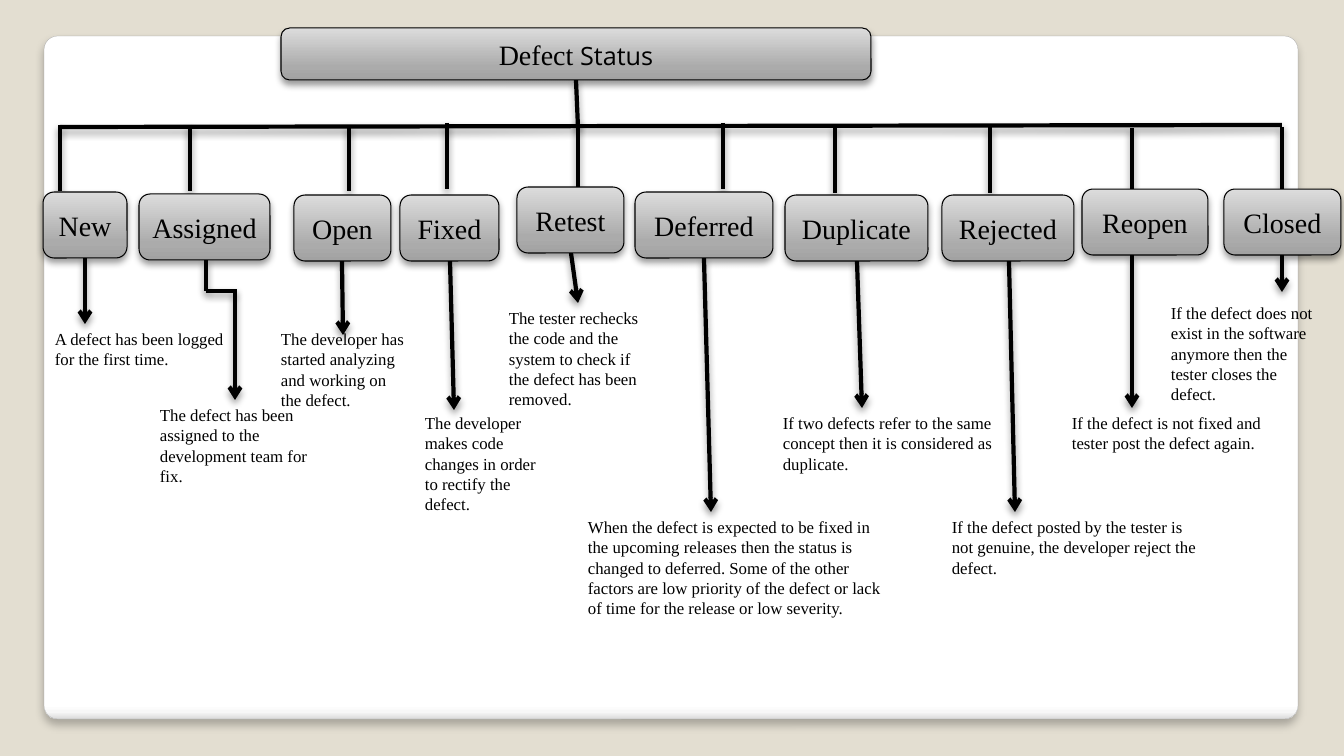
from lxml import etree
from pptx import Presentation
from pptx.dml.color import RGBColor
from pptx.enum.shapes import MSO_CONNECTOR, MSO_SHAPE
from pptx.enum.text import MSO_ANCHOR, PP_ALIGN
from pptx.oxml import parse_xml
from pptx.oxml.ns import nsdecls, qn
from pptx.util import Pt

PX = 914400 / 100.8
BLACK = "000000"
SERIF = "Times New Roman"
BOX_HEIGHT = 66
STEM_LENGTH = 66
BOX_STOPS = [(0, "A2A2A2"), (25, "ABABAB"), (100, "DCDCDC")]
CARD_STOPS = [(0, "FFFFFF"), (98, "FFFFFF"), (99, "F7F7F7"), (100, "DADADA")]

# name, box (left, top, width), stem (x, top), arrow (start x, end x, end y),
# note (left, top, width, height), note text
STATUSES = [
    ("New", (43, 192, 84), (60, 125), (85, 85, 324), (45, 324, 203, 50),
     "A defect has been logged for the first time."),
    ("Assigned", (139, 194, 131), (190, 125), (235, 235, 400), (150, 400, 183, 92),
     "The defect has been assigned to the development team for fix."),
    ("Open", (294, 195, 97), (349, 125), (342, 343, 335), (271, 324, 144, 92),
     "The developer has started analyzing and working on the defect."),
    ("Fixed", (400, 195, 99), (447, 123), (450, 454, 410), (415, 408, 139, 112),
     "The developer makes code changes in order to rectify the defect."),
    ("Retest", (517, 187, 107), (578, 121), (571, 578, 303), (499, 303, 157, 112),
     "The tester rechecks the code and the system to check if the defect has been removed."),
    ("Deferred", (635, 192, 138), (723, 123), (704, 711, 512), (578, 512, 323, 112),
     "When the defect is expected to be fixed in the upcoming releases then the status is "
     "changed to deferred. Some of the other factors are low priority of the defect or lack "
     "of time for the release or low severity."),
    ("Duplicate", (785, 195, 143), (835, 127), (857, 862, 408), (773, 408, 249, 72),
     "If two defects refer to the same concept then it is considered as duplicate."),
    ("Rejected", (942, 195, 132), (990, 127), (1009, 1015, 512), (942, 512, 265, 72),
     "If the defect posted by the tester is not genuine, the developer reject the defect."),
    ("Reopen", (1082, 189, 126), (1132, 128), (1132, 1132, 408), (1062, 408, 220, 50),
     "If the defect is not fixed and tester post the defect again."),
    ("Closed", (1224, 189, 117), (1282, 127), (1282, 1282, 292), (1161, 298, 163, 112),
     "If the defect does not exist in the software anymore then the tester closes the defect."),
]


def finish(shape, outline, width, shadow, stops=(), angle=90):
    """Set outline, downward shadow (alpha, blur, distance) and gradient fill."""
    if stops:
        shape.fill.gradient()
        shape.fill.gradient_angle = angle
        gradient_stops = shape._element.spPr.find(qn("a:gradFill")).find(qn("a:gsLst"))
        for stop in list(gradient_stops):
            gradient_stops.remove(stop)
        for position, color in stops:
            stop = etree.SubElement(gradient_stops, qn("a:gs"), pos=str(position * 1000))
            etree.SubElement(stop, qn("a:srgbClr"), val=color)
    shape.line.color.rgb = RGBColor.from_string(outline)
    shape.line.width = Pt(width)
    alpha, blur, distance = shadow
    shape._element.spPr.append(parse_xml(
        f'<a:effectLst {nsdecls("a")}><a:outerShdw blurRad="{Pt(blur)}" dist="{Pt(distance)}" '
        f'dir="5400000" rotWithShape="0"><a:srgbClr val="{BLACK}"><a:alpha val="{alpha * 1000}"/>'
        '</a:srgbClr></a:outerShdw></a:effectLst>'))


def write(shape, runs, align=PP_ALIGN.LEFT, anchor=MSO_ANCHOR.TOP):
    """Write (text, size, font) runs as one black paragraph."""
    frame = shape.text_frame
    frame.word_wrap = True
    frame.vertical_anchor = anchor
    paragraph = frame.paragraphs[0]
    paragraph.alignment = align
    for text, size, font in runs:
        run = paragraph.add_run()
        run.text = text
        run.font.size = Pt(size)
        run.font.name = font
        run.font.color.rgb = RGBColor.from_string(BLACK)


prs = Presentation()
prs.slide_width, prs.slide_height = round(1344 * PX), round(756 * PX)
slide = prs.slides.add_slide(prs.slide_layouts[6])
slide.background.fill.solid()
slide.background.fill.fore_color.rgb = RGBColor.from_string("E3DED1")
shapes = slide.shapes

card = shapes.add_shape(MSO_SHAPE.ROUNDED_RECTANGLE,
                        *(round(v * PX) for v in (44, 36, 1254, 683)))
card.adjustments[0] = 0.02
finish(card, "A4A4A4", 0.16, (25, 6, 4), CARD_STOPS, angle=270)

# Lines: start x, start y, end x, end y, has arrowhead
lines = [
    (576, 80, 578, 127, False),
    (60, 127, 1282, 125, False),
    (206, 260, 206, 291, False),
    (206, 291, 237, 291, False),
]
boxes = [((281, 28, 590, 52), [("Defect", 20, SERIF), (" Status", 18, "Open Sans")])]
for name, (left, top, width), (stem_x, stem_y), (start_x, end_x, end_y), _, _ in STATUSES:
    start_y = 291 if name == "Assigned" else top + BOX_HEIGHT
    lines.append((stem_x, stem_y, stem_x, stem_y + STEM_LENGTH, False))
    lines.append((start_x, start_y, end_x, end_y, True))
    boxes.append(((left, top, width, BOX_HEIGHT), [(name, 20, SERIF)]))

for *ends, has_arrow in lines:
    line = shapes.add_connector(MSO_CONNECTOR.STRAIGHT, *(round(v * PX) for v in ends))
    finish(line, BLACK, 3, (40, 5.2, 3))
    if has_arrow:
        etree.SubElement(line.line._get_or_add_ln(), qn("a:tailEnd"), type="arrow")

for place, runs in boxes:
    box = shapes.add_shape(MSO_SHAPE.ROUNDED_RECTANGLE, *(round(v * PX) for v in place))
    finish(box, BLACK, 0.75, (40, 5.2, 3), BOX_STOPS)
    write(box, runs, PP_ALIGN.CENTER, MSO_ANCHOR.MIDDLE)

for *_, place, text in STATUSES:
    note = shapes.add_textbox(*(round(v * PX) for v in place))
    write(note, [(text, 12, SERIF)])

prs.save("out.pptx")
